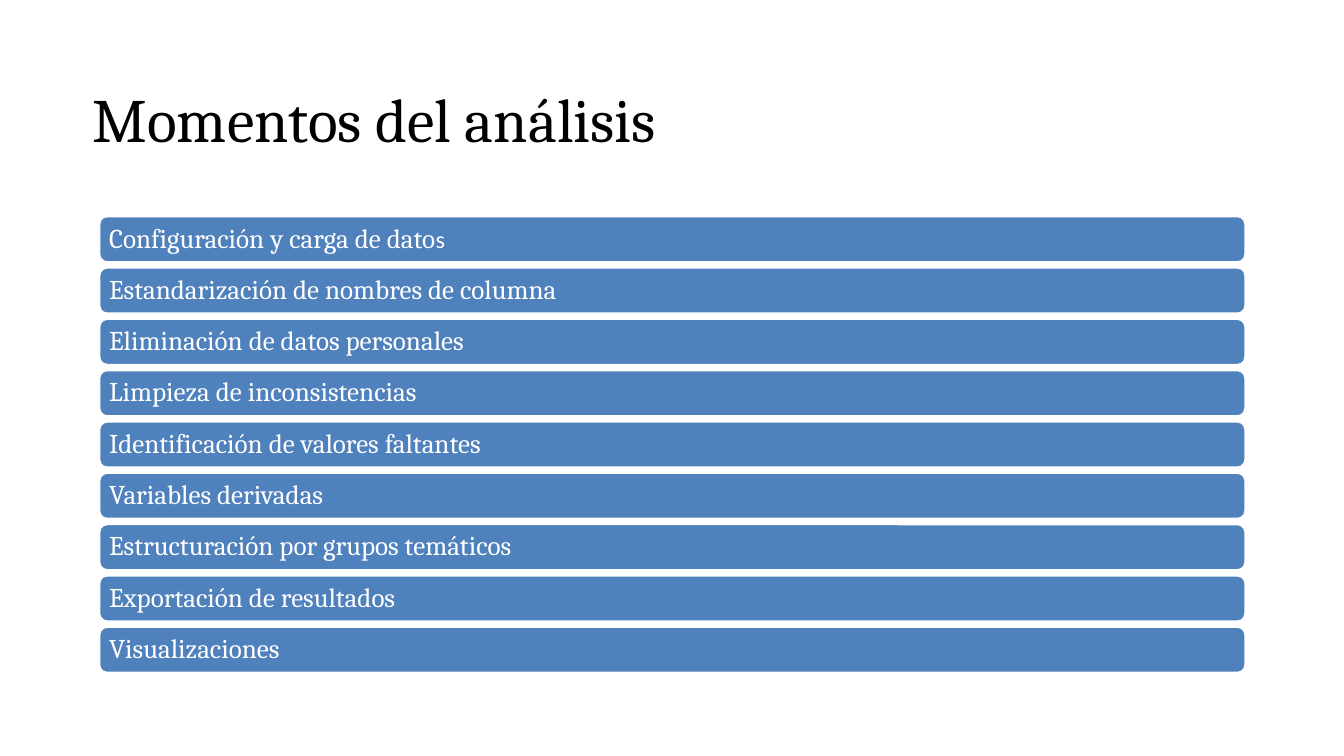
from pptx import Presentation
from pptx.dml.color import RGBColor
from pptx.enum.shapes import MSO_SHAPE
from pptx.enum.text import MSO_ANCHOR, PP_ALIGN
from pptx.util import Inches, Pt

STEPS = [
    "Configuración y carga de datos",
    "Estandarización de nombres de columna",
    "Eliminación de datos personales",
    "Limpieza de inconsistencias",
    "Identificación de valores faltantes",
    "Variables derivadas",
    "Estructuración por grupos temáticos",
    "Exportación de resultados",
    "Visualizaciones",
]
BAR_HEIGHT = 0.68


def color(value):
    return RGBColor.from_string(value)


def set_text(shape, text, size, font_color, line_spacing, inset):
    """Fill the shape with one left-aligned, vertically centred paragraph."""
    frame = shape.text_frame
    frame.word_wrap = True
    frame.vertical_anchor = MSO_ANCHOR.MIDDLE
    frame.margin_left = frame.margin_right = Inches(inset)
    frame.margin_top = frame.margin_bottom = Inches(inset)
    paragraph = frame.paragraphs[0]
    paragraph.alignment = PP_ALIGN.LEFT
    paragraph.line_spacing = line_spacing
    paragraph.font.name = "Cambria"
    paragraph.font.size = Pt(size)
    paragraph.font.color.rgb = color(font_color)
    paragraph.add_run().text = text
    return paragraph


def add_title(slide, text, left, top, width, height):
    box = slide.shapes.add_textbox(
        Inches(left), Inches(top), Inches(width), Inches(height))
    set_text(box, text, 66, "000000", 1.08, 0)


def add_bar(slide, text, left, top, width, height):
    bar = slide.shapes.add_shape(
        MSO_SHAPE.ROUNDED_RECTANGLE,
        Inches(left), Inches(top), Inches(width), Inches(height))
    bar.shadow.inherit = False
    bar.fill.solid()
    bar.fill.fore_color.rgb = color("4F81BD")
    bar.line.color.rgb = color("FFFFFF")
    bar.line.width = Pt(2)
    return set_text(bar, text, 29, "FFFFFF", 0.9, 0.11)


def add_step_list(slide, steps, left, top, width, height):
    """Spread the bars evenly; the first ends in a smaller Calibri letter."""
    pitch = (height - BAR_HEIGHT) / (len(steps) - 1)
    paragraphs = [
        add_bar(slide, step, left, top + index * pitch, width, BAR_HEIGHT)
        for index, step in enumerate(steps)
    ]
    first_run = paragraphs[0].runs[0]
    last_letter = paragraphs[0].add_run()
    last_letter.text = first_run.text[-1]
    first_run.text = first_run.text[:-1]
    last_letter.font.name = "Calibri"
    last_letter.font.size = Pt(26)


def main():
    presentation = Presentation()
    presentation.slide_width = Inches(20)
    presentation.slide_height = Inches(11.25)
    slide = presentation.slides.add_slide(presentation.slide_layouts[6])
    add_title(slide, "Momentos del análisis", 1.38, 0.65, 17.25, 2.12)
    add_step_list(slide, STEPS, 1.48, 3.22, 17.05, 6.79)
    presentation.save("out.pptx")


if __name__ == "__main__":
    main()
